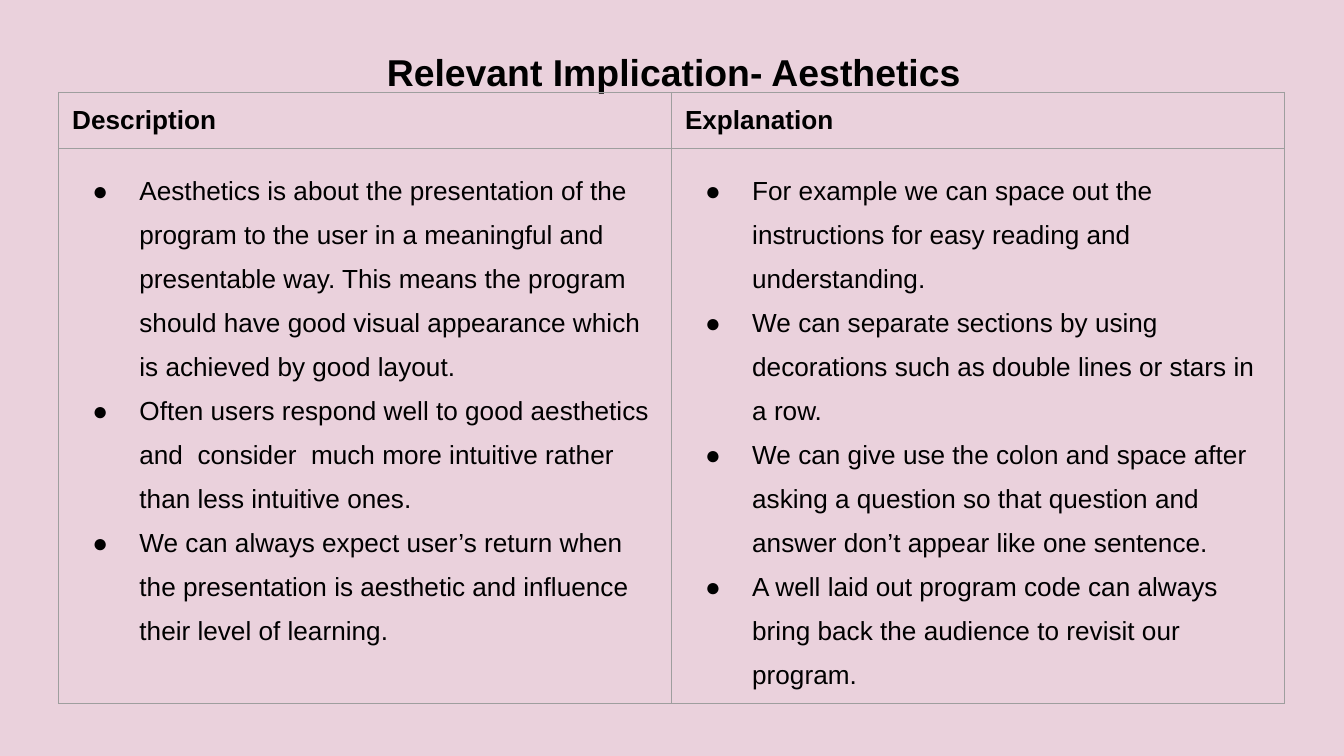
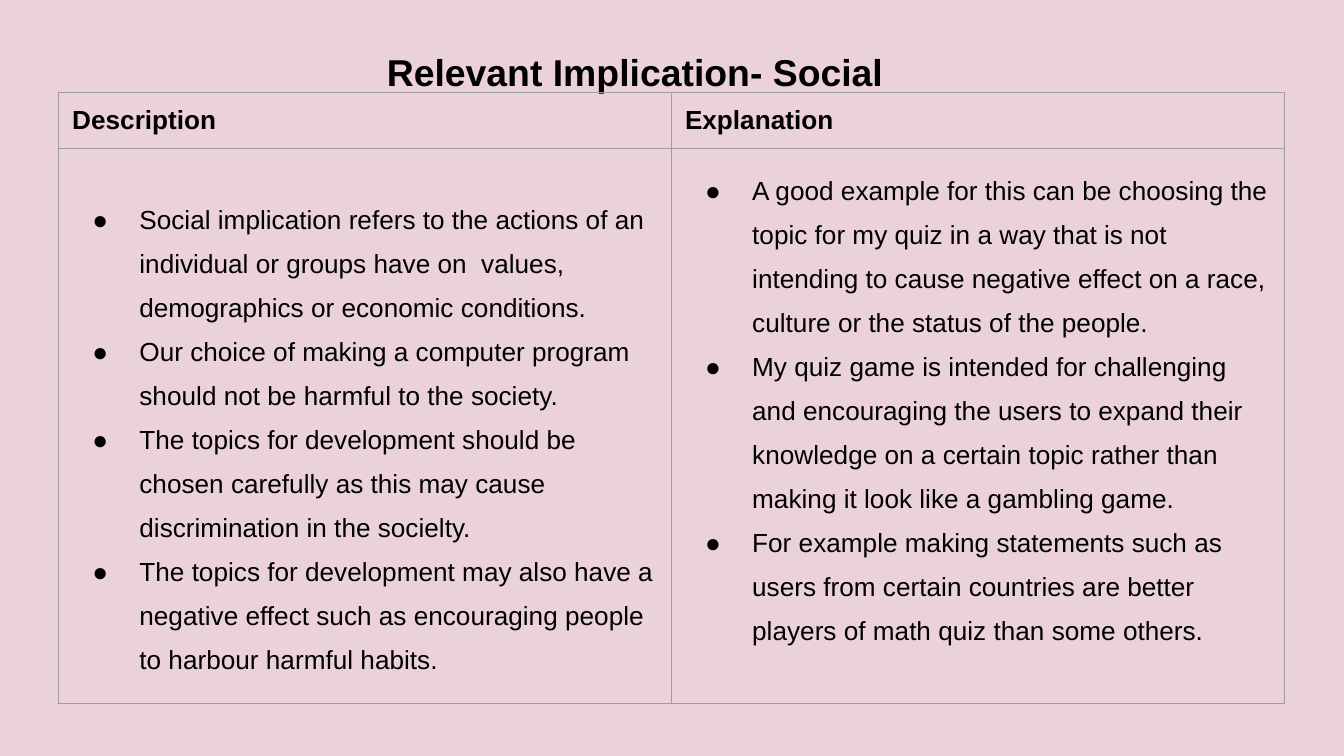
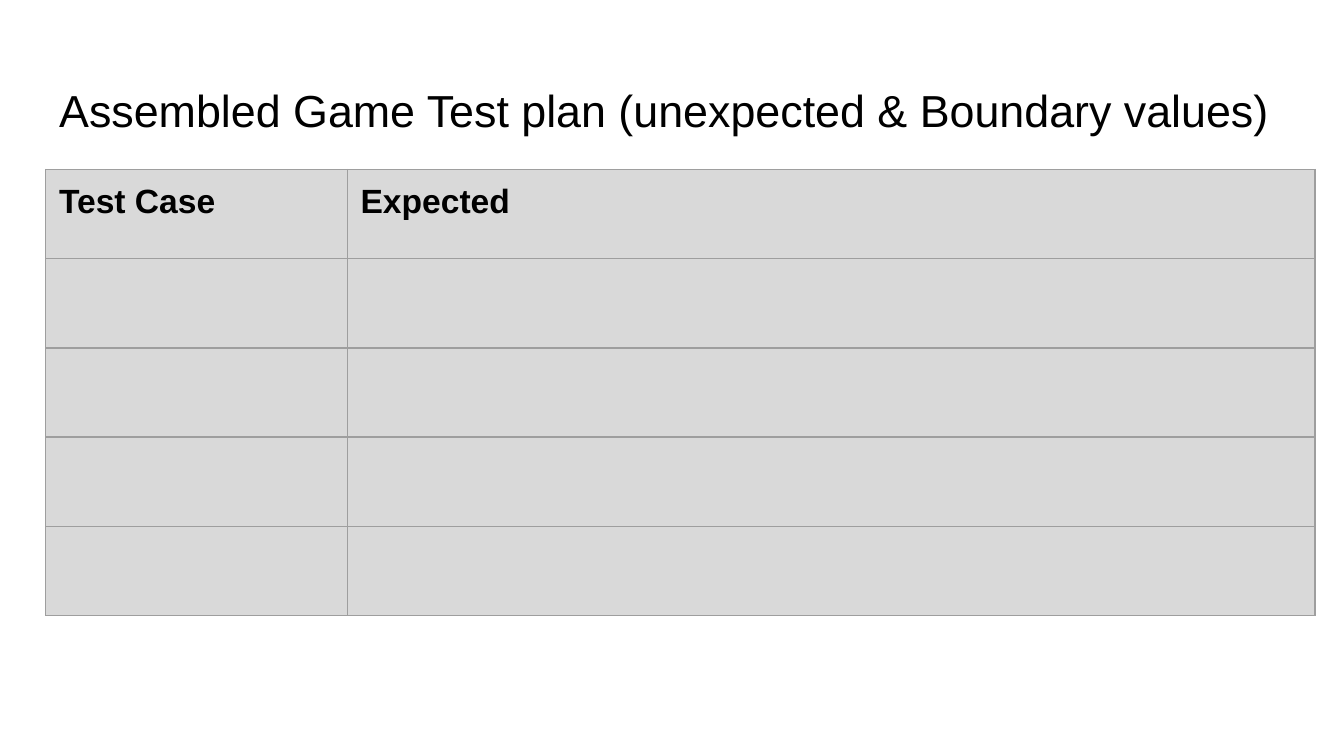
from lxml import etree
from pptx import Presentation
from pptx.dml.color import RGBColor
from pptx.enum.text import MSO_ANCHOR, MSO_AUTO_SIZE, PP_ALIGN
from pptx.oxml.ns import qn
from pptx.util import Pt

TOP = MSO_ANCHOR.TOP
NO_AUTOFIT = MSO_AUTO_SIZE.NONE
LEFT = PP_ALIGN.LEFT

BLACK = RGBColor(0x00, 0x00, 0x00)
WHITE = RGBColor(0xFF, 0xFF, 0xFF)
PINK = RGBColor(0xEA, 0xD1, 0xDC)
LIGHT_GREY = RGBColor(0xD9, 0xD9, 0xD9)
BORDER_GREY = RGBColor(0x9E, 0x9E, 0x9E)

FONT = "Arial"
INSET = Pt(7.2)
TITLE_TOP_INSET = Pt(9)
BORDER_WIDTH = Pt(0.75)
BULLET_INDENT = Pt(36)
BULLET_HANGING = Pt(25.2)
TITLE_ONLY_LAYOUT = 5

# Boxes are left, top, width, height
IMPLICATION_TITLE_BOX = (Pt(200), Pt(17.5), Pt(334), Pt(32.4))
IMPLICATION_TABLE_BOX = (Pt(31.5), Pt(49.5), Pt(656.6), Pt(327.3))
IMPLICATION_HEADER_HEIGHT = Pt(30)
TEST_TITLE_BOX = (Pt(24.5), Pt(35.3), Pt(671), Pt(45.4))
TEST_TABLE_BOX = (Pt(24.5), Pt(90.8), Pt(680), Pt(239))
TEST_CASE_WIDTH = Pt(161.5)
TEST_ROW_COUNT = 5

IMPLICATIONS = [
    {
        "title": "Relevant Implication- Aesthetics",
        "description": [
            "Aesthetics is about the presentation of the program to the user in a "
            "meaningful and presentable way. This means the program should have good "
            "visual appearance which is achieved by good layout.",
            "Often users respond well to good aesthetics and  consider  much more "
            "intuitive rather than less intuitive ones.",
            "We can always expect user’s return when the presentation is aesthetic "
            "and influence their level of learning.",
        ],
        "explanation": [
            "For example we can space out the instructions for easy reading and "
            "understanding.",
            "We can separate sections by using decorations such as double lines or "
            "stars in a row.",
            "We can give use the colon and space after asking a question so that "
            "question and answer don’t appear like one sentence.",
            "A well laid out program code can always bring back the audience to "
            "revisit our program.",
        ],
        "description_offset": Pt(0),
    },
    {
        "title": "Relevant Implication- Social",
        "description": [
            "Social implication refers to the actions of an individual or groups have "
            "on  values, demographics or economic conditions.",
            "Our choice of making a computer program should not be harmful to the "
            "society.",
            "The topics for development should be chosen carefully as this may cause "
            "discrimination in the socielty.",
            "The topics for development may also have a negative effect such as "
            "encouraging people to harbour harmful habits.",
        ],
        "explanation": [
            "A good example for this can be choosing the topic for my quiz in a way "
            "that is not intending to cause negative effect on a race, culture or the "
            "status of the people.",
            "My quiz game is intended for challenging and encouraging the users to "
            "expand their knowledge on a certain topic rather than making it look like "
            "a gambling game.",
            "For example making statements such as users from certain countries are "
            "better players of math quiz than some others.",
        ],
        "description_offset": Pt(15.5),
    },
]


def add_bullet(paragraph):
    """Give a paragraph a round black bullet with a hanging indent."""
    properties = paragraph._p.get_or_add_pPr()
    properties.set("marL", str(BULLET_INDENT))
    properties.set("indent", str(-BULLET_HANGING))
    colour = etree.SubElement(properties, qn("a:buClr"))
    etree.SubElement(colour, qn("a:srgbClr"), val=str(BLACK))
    etree.SubElement(properties, qn("a:buFont"), typeface=FONT)
    etree.SubElement(properties, qn("a:buChar"), char="●")


def write_text(text_frame, *texts, size, bold=False, bullets=False, line_spacing=None):
    """Write one formatted paragraph for each text."""
    for index, text in enumerate(texts):
        paragraph = text_frame.add_paragraph() if index else text_frame.paragraphs[0]
        paragraph.alignment = LEFT
        if line_spacing:
            paragraph.line_spacing = line_spacing
        if bullets:
            add_bullet(paragraph)
        run = paragraph.add_run()
        run.text = text
        run.font.name = FONT
        run.font.size = Pt(size)
        run.font.bold = bold
        run.font.color.rgb = BLACK


def set_borders(cell):
    """Draw the same thin line on all four sides of a cell."""
    properties = cell._tc.get_or_add_tcPr()
    for index, side in enumerate(("a:lnL", "a:lnR", "a:lnT", "a:lnB")):
        line = etree.Element(qn(side), w=str(BORDER_WIDTH))
        fill = etree.SubElement(line, qn("a:solidFill"))
        etree.SubElement(fill, qn("a:srgbClr"), val=str(BORDER_GREY))
        properties.insert(index, line)


def add_titled_slide(presentation, title, box, *, size, bold, background):
    """Add a slide with a plain background and a title in the given box."""
    slide = presentation.slides.add_slide(presentation.slide_layouts[TITLE_ONLY_LAYOUT])
    slide.background.fill.solid()
    slide.background.fill.fore_color.rgb = background
    shape = slide.shapes.title
    shape.left, shape.top, shape.width, shape.height = box
    frame = shape.text_frame
    frame.word_wrap = True
    frame.auto_size = NO_AUTOFIT
    frame.vertical_anchor = TOP
    frame.margin_left = frame.margin_right = INSET
    frame.margin_top, frame.margin_bottom = TITLE_TOP_INSET, 0
    write_text(frame, title, size=size, bold=bold)
    return slide


def add_grid(slide, box, column_widths, row_heights, *, headers, header_size, fill=None):
    """Add a bordered table with bold headers; without a fill it is see-through."""
    table = slide.shapes.add_table(len(row_heights), len(column_widths), *box).table
    table.first_row = table.horz_banding = False
    for column, width in zip(table.columns, column_widths):
        column.width = width
    for row, height in zip(table.rows, row_heights):
        row.height = height
    for cell in table.iter_cells():
        cell.margin_left = cell.margin_right = INSET
        cell.margin_top = cell.margin_bottom = INSET
        if fill is None:
            cell.fill.background()
        else:
            cell.fill.solid()
            cell.fill.fore_color.rgb = fill
        set_borders(cell)
    for index, header in enumerate(headers):
        write_text(table.cell(0, index).text_frame, header, size=header_size, bold=True)
    return table


def add_implication_slide(presentation, implication):
    """Two columns: what the implication is, and how it is met."""
    slide = add_titled_slide(presentation, implication["title"], IMPLICATION_TITLE_BOX,
                             size=20, bold=True, background=PINK)
    width, height = IMPLICATION_TABLE_BOX[2:]
    table = add_grid(slide, IMPLICATION_TABLE_BOX, [width // 2] * 2,
                     [IMPLICATION_HEADER_HEIGHT, height - IMPLICATION_HEADER_HEIGHT],
                     headers=("Description", "Explanation"), header_size=14)
    for index, key in enumerate(("description", "explanation")):
        write_text(table.cell(1, index).text_frame, *implication[key],
                   size=14, bullets=True, line_spacing=1.5)
    table.cell(1, 0).margin_top = INSET + implication["description_offset"]


def add_test_plan_slide(presentation):
    """Grey table with headers and rows left open for test cases."""
    slide = add_titled_slide(
        presentation, "Assembled Game Test plan (unexpected & Boundary values)",
        TEST_TITLE_BOX, size=24, bold=False, background=WHITE)
    width, height = TEST_TABLE_BOX[2:]
    add_grid(slide, TEST_TABLE_BOX, [TEST_CASE_WIDTH, width - TEST_CASE_WIDTH],
             [height // TEST_ROW_COUNT] * TEST_ROW_COUNT,
             headers=("Test Case", "Expected"), header_size=18, fill=LIGHT_GREY)


presentation = Presentation()
presentation.slide_width, presentation.slide_height = Pt(720), Pt(405)
for implication in IMPLICATIONS:
    add_implication_slide(presentation, implication)
add_test_plan_slide(presentation)
presentation.save("out.pptx")
